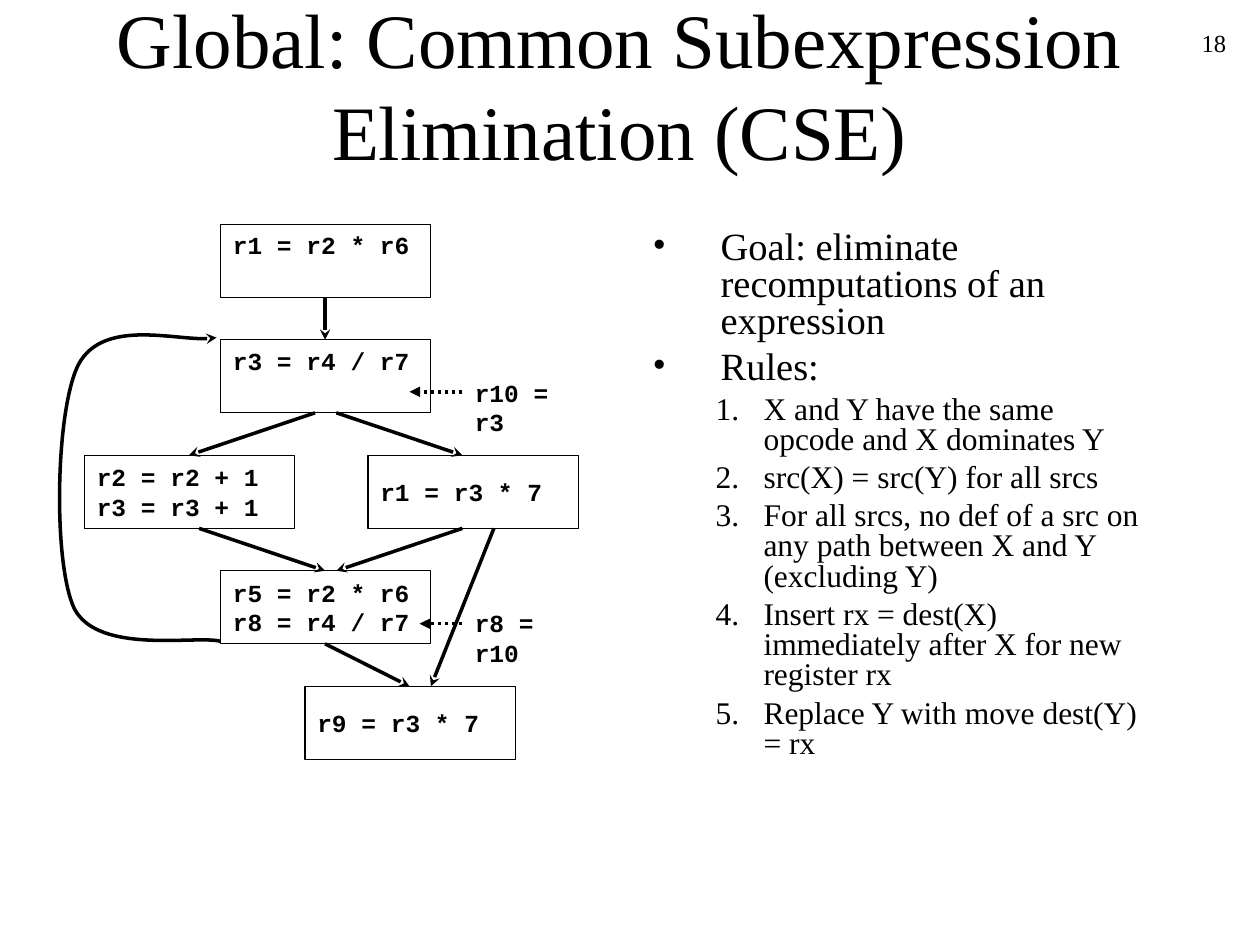
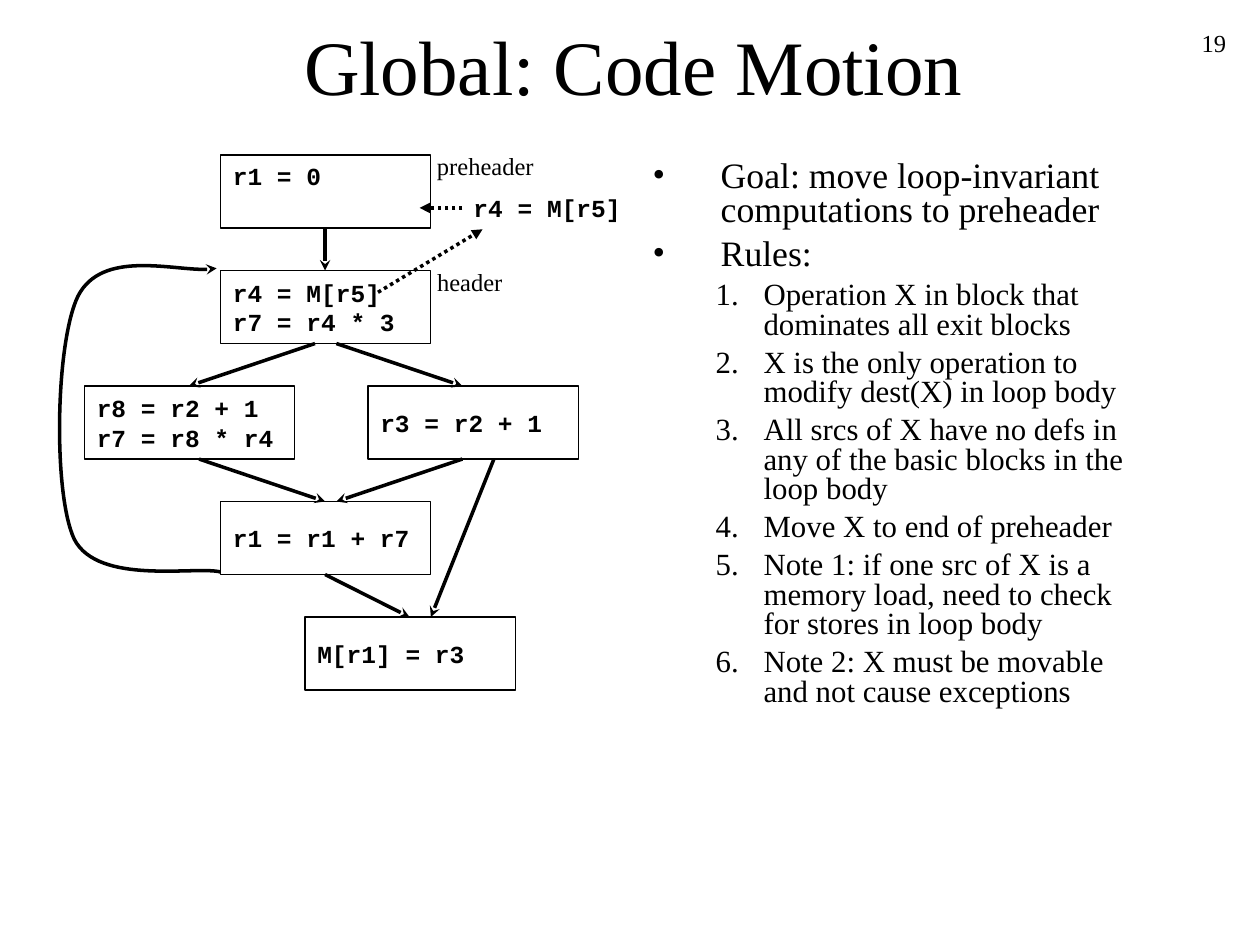
from lxml import etree
from pptx import Presentation
from pptx.dml.color import RGBColor
from pptx.enum import dml, shapes, text
from pptx.oxml.ns import qn
from pptx.util import Inches, Pt

COLORS = {"ink": "000000", "paper": "FFFFFF"}
SERIF, CODE = "Times New Roman", "Courier New"
BLOCK_W, BLOCK_H, ROW_STEP = 1.67, 0.58, 11 / 12

# Left edge and row of each basic block in the flow graph
BLOCKS = [(1.75, 0), (1.75, 1), (0.67, 2), (2.92, 2), (1.75, 3), (2.42, 4)]
# Start x, row it leaves, end x, row it enters
EDGES = [
    (2.58, 0, 2.58, 1), (2.5, 1, 1.5, 2), (2.67, 1, 3.67, 2),
    (1.58, 2, 2.58, 3), (3.67, 2, 2.67, 3), (2.58, 3, 3.25, 4),
    (3.92, 2, 3.42, 4),
]
# Start point, then three points per Bezier segment, below the graph's top
BACK_EDGE = [
    (1.75, 3.31),
    (1.56, 3.26), (0.78, 3.42), (0.59, 3.05),
    (0.42, 2.69), (0.44, 1.49), (0.62, 1.12),
    (0.81, 0.75), (1.49, 0.95), (1.72, 0.9),
]


def color(name):
    return RGBColor.from_string(COLORS[name])


def place(sp, x, y, w, h):
    sp.left, sp.top, sp.width, sp.height = map(Inches, (x, y, w, h))


def add_run(p, words, size, font=SERIF, bold=False):
    r = p.add_run()
    r.text = words
    r.font.name, r.font.size, r.font.bold = font, Pt(size), bold
    r.font.color.rgb = color("ink")


def add_code(p, lines):
    for i, line in enumerate(lines):
        if i:
            p.add_line_break()
        add_run(p, line, 14, CODE, True)


def style_line(sp, width, head=None):
    sp.line.color.rgb = color("ink")
    sp.line.width = Pt(width)
    if head:
        etree.SubElement(sp.line._get_or_add_ln(), qn("a:tailEnd"), type=head)


def add_arrow(slide, x1, y1, x2, y2, head="stealth", dotted=False):
    line = slide.shapes.add_connector(
        shapes.MSO_CONNECTOR.STRAIGHT, *map(Inches, (x1, y1, x2, y2)))
    if dotted:
        line.line.dash_style = dml.MSO_LINE.ROUND_DOT
    style_line(line, 2, head)
    etree.SubElement(line._element.spPr, qn("a:effectLst"))


def add_back_edge(slide, top):
    """Draw the loop's curved back edge, turning line segments into Beziers."""
    points = [(Inches(x), Inches(top + y)) for x, y in BACK_EDGE]
    builder = slide.shapes.build_freeform(*points[0])
    builder.add_line_segments(points[1:], close=False)
    sp = builder.convert_to_shape()
    path = next(sp._element.iter(qn("a:path")))
    segments = path.findall(qn("a:lnTo"))
    for i in range(0, len(segments), 3):
        curve = etree.SubElement(path, qn("a:cubicBezTo"))
        for segment in segments[i:i + 3]:
            curve.append(segment[0])
            path.remove(segment)
    sp.fill.background()
    sp.shadow.inherit = False
    style_line(sp, 2, "stealth")


def add_block(slide, x, y, lines, at_top):
    sp = slide.shapes.add_shape(
        shapes.MSO_SHAPE.RECTANGLE, *map(Inches, (x, y, BLOCK_W, BLOCK_H)))
    sp.shadow.inherit = False
    sp.fill.background()
    style_line(sp, 0.75)
    tf = sp.text_frame
    tf.word_wrap = True
    tf.vertical_anchor = text.MSO_ANCHOR.TOP if at_top else text.MSO_ANCHOR.MIDDLE
    p = tf.paragraphs[0]
    p.alignment = text.PP_ALIGN.LEFT
    add_code(p, lines)


def add_flow_graph(slide, top, code, top_anchored):
    """Draw the blocks and edges; top_anchored holds indexes of blocks."""
    def row_y(row):
        return top + row * ROW_STEP

    add_back_edge(slide, top)
    for i, ((x, row), lines) in enumerate(zip(BLOCKS, code)):
        add_block(slide, x, row_y(row), lines, i in top_anchored)
    for x1, start, x2, end in EDGES:
        add_arrow(slide, x1, row_y(start) + BLOCK_H, x2, row_y(end))


def add_label(slide, x, y, w, words, code=False):
    tf = slide.shapes.add_textbox(*map(Inches, (x, y, w, 0.34))).text_frame
    tf.word_wrap = False
    tf.auto_size = text.MSO_AUTO_SIZE.SHAPE_TO_FIT_TEXT
    add_run(tf.paragraphs[0], words, 14, CODE if code else SERIF, code)


def add_page_number(slide, number):
    tf = slide.shapes.add_textbox(*map(Inches, (7.75, 0.17, 2.08, 0.5))).text_frame
    tf.word_wrap = True
    p = tf.paragraphs[0]
    p.alignment = text.PP_ALIGN.RIGHT
    add_run(p, str(number), 14)


def set_marker(p, indent, hang, tag, **attrs):
    """Give the paragraph a hanging indent and a bullet or number."""
    pPr = p._p.get_or_add_pPr()
    pPr.set("marL", str(Inches(indent)))
    pPr.set("indent", str(-Inches(hang)))
    clr = etree.SubElement(pPr, qn("a:buClr"))
    etree.SubElement(clr, qn("a:srgbClr"), val=COLORS["ink"])
    etree.SubElement(pPr, qn("a:buFont"), typeface=SERIF)
    etree.SubElement(pPr, qn(tag), **attrs)


def fill_rules(slide, top, goal, rules, goal_size, rule_size, rule_gap):
    body = slide.placeholders[1]
    place(body, 5.08, top, 4.17, 4.5)
    tf = body.text_frame
    tf.auto_size = text.MSO_AUTO_SIZE.NONE
    items = [(goal, 0), ("Rules:", 0)] + [(rule, 1) for rule in rules]
    for i, (words, level) in enumerate(items):
        p = tf.add_paragraph() if i else tf.paragraphs[0]
        p.level = level
        if level:
            set_marker(p, 0.88, 0.38, "a:buAutoNum", type="arabicPeriod")
        else:
            set_marker(p, 0.54, 0.54, "a:buChar", char="•")
        p.line_spacing = 0.8
        p.space_before = Pt((rule_gap if level else 5.5) if i else 0)
        add_run(p, words, rule_size if level else goal_size)


def add_slide(prs, number, title, title_at):
    slide = prs.slides.add_slide(prs.slide_layouts[1])
    slide.background.fill.solid()
    slide.background.fill.fore_color.rgb = color("paper")
    add_page_number(slide, number)
    sp = slide.shapes.title
    place(sp, *title_at)
    tf = sp.text_frame
    tf.auto_size = text.MSO_AUTO_SIZE.NONE
    tf.vertical_anchor = text.MSO_ANCHOR.MIDDLE
    p = tf.paragraphs[0]
    p.alignment = text.PP_ALIGN.CENTER
    add_run(p, title, 44)
    return slide


def add_cse_slide(prs):
    slide = add_slide(prs, 18, "Global: Common Subexpression Elimination (CSE)",
                      (0.67, 0.04, 8.5, 1.25))
    top = 1.78
    add_flow_graph(slide, top, [
        ["r1 = r2 * r6"],
        ["r3 = r4 / r7"],
        ["r2 = r2 + 1", "r3 = r3 + 1"],
        ["r1 = r3 * 7"],
        ["r5 = r2 * r6", "r8 = r4 / r7"],
        ["r9 = r3 * 7"],
    ], top_anchored=(0, 1))
    fill_rules(slide, top, "Goal: eliminate recomputations of an expression", [
        "X and Y have the same opcode and X dominates Y",
        "src(X) = src(Y) for all srcs",
        "For all srcs, no def of a src on any path between X and Y (excluding Y)",
        "Insert rx = dest(X) immediately after X for new register rx",
        "Replace Y with move dest(Y) = rx",
    ], goal_size=22, rule_size=18, rule_gap=4.5)
    add_label(slide, 3.67, 4.78, 1.13, "r8 = r10", code=True)
    add_arrow(slide, 3.67, 4.95, 3.33, 4.95, "triangle", dotted=True)
    add_label(slide, 3.67, 2.95, 1.13, "r10 = r3", code=True)
    add_arrow(slide, 3.67, 3.11, 3.25, 3.11, "triangle", dotted=True)


def add_code_motion_slide(prs):
    slide = add_slide(prs, 19, "Global: Code Motion", (0.78, 0.13, 8.5, 0.77))
    top = 1.23
    add_flow_graph(slide, top, [
        ["r1 = 0"],
        ["r4 = M[r5]", "r7 = r4 * 3"],
        ["r8 = r2 + 1", "r7 = r8 * r4"],
        ["r3 = r2 + 1"],
        ["r1 = r1 + r7"],
        ["M[r1] = r3"],
    ], top_anchored=(0,))
    add_label(slide, 3.37, 1.15, 0.97, "preheader")
    add_label(slide, 3.37, 2.07, 0.72, "header")
    fill_rules(slide, top, "Goal: move loop-invariant computations to preheader", [
        "Operation X in block that dominates all exit blocks",
        "X is the only operation to modify dest(X) in loop body",
        "All srcs of X have no defs in any of the basic blocks in the loop body",
        "Move X to end of preheader",
        "Note 1: if one src of X is a memory load, need to check for stores in loop body",
        "Note 2: X must be movable and not cause exceptions",
    ], goal_size=20.4, rule_size=17.6, rule_gap=4.8)
    add_label(slide, 3.66, 1.48, 1.37, "r4 = M[r5]", code=True)
    add_arrow(slide, 3, 2.32, 3.83, 1.82, "triangle", dotted=True)
    add_arrow(slide, 3.67, 1.65, 3.33, 1.65, "triangle", dotted=True)


def main():
    prs = Presentation()
    prs.slide_width, prs.slide_height = Inches(10), Inches(7.5)
    add_cse_slide(prs)
    add_code_motion_slide(prs)
    prs.save("out.pptx")


if __name__ == "__main__":
    main()
